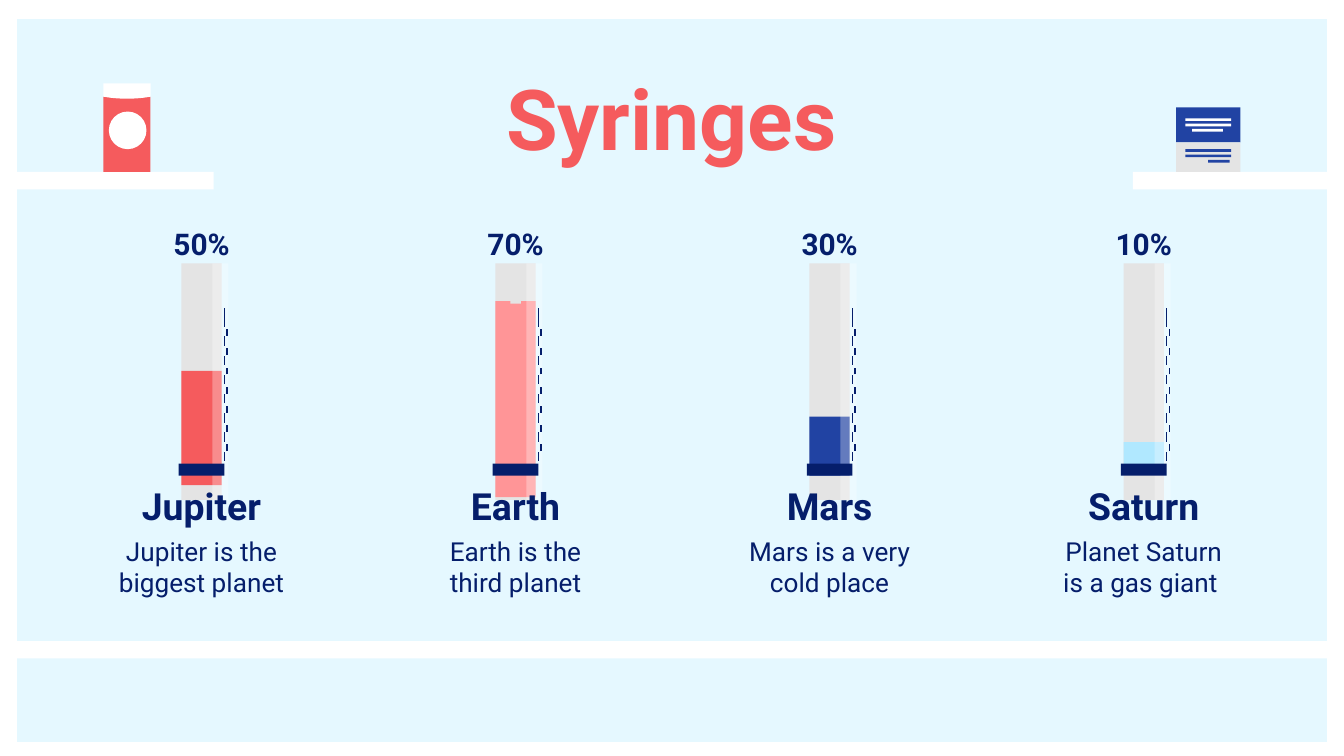
from dataclasses import dataclass
from lxml import etree
from pptx import Presentation
from pptx.dml.color import RGBColor
from pptx.enum.shapes import MSO_CONNECTOR, MSO_SHAPE
from pptx.enum.text import MSO_ANCHOR, MSO_AUTO_SIZE, PP_ALIGN
from pptx.oxml.ns import qn
from pptx.util import Inches, Pt

RECT, OVAL = MSO_SHAPE.RECTANGLE, MSO_SHAPE.OVAL
LINE = MSO_CONNECTOR.STRAIGHT
MID, MIDDLE = PP_ALIGN.CENTER, MSO_ANCHOR.MIDDLE
NO_FIT = MSO_AUTO_SIZE.NONE
WIDE = 10
HIGH = WIDE * 9 / 16


@dataclass(frozen=True)
class Theme:
    font: str = "Roboto"
    sky: str = "E5F8FF"
    white: str = "FFFFFF"
    navy: str = "051E6B"
    blue: str = "2143A3"
    red: str = "F55B5D"
    pink: str = "FF9597"
    pale: str = "B0E8FF"
    grey: str = "E4E4E4"
    title: int = 45
    name: int = 20
    rate: int = 16
    body: int = 14
    tick: float = 0.75
    frame: int = 18


T = Theme()


def rgb(code):
    return RGBColor.from_string(code)


def paint(shape, color):
    shape.shadow.inherit = False
    shape.fill.solid()
    shape.fill.fore_color.rgb = rgb(color)
    shape.line.fill.background()
    return shape


def block(slide, x, y, w, h, color, kind=RECT):
    shape = slide.shapes.add_shape(kind, Inches(x), Inches(y), Inches(w), Inches(h))
    return paint(shape, color)


def fade(shape, part):
    """Make a solid fill partly clear; part is the opacity in percent."""
    color = shape.fill._xPr.find(".//" + qn("a:srgbClr"))
    etree.SubElement(color, qn("a:alpha")).set("val", str(part * 1000))


def tick(slide, x, y, size):
    line = slide.shapes.add_connector(
        LINE, Inches(x), Inches(y + size), Inches(x), Inches(y))
    line.line.color.rgb = rgb(T.navy)
    line.line.width = Pt(T.tick)
    etree.SubElement(line._element.spPr, qn("a:effectLst"))


def style(shape, text, size, color, bold=False):
    frame = shape.text_frame
    frame.word_wrap = True
    frame.auto_size = NO_FIT
    frame.vertical_anchor = MIDDLE
    frame.margin_left = frame.margin_right = Inches(0.1)
    frame.margin_top = frame.margin_bottom = Inches(0.1)
    frame.text = text
    para = frame.paragraphs[0]
    para.alignment = MID
    para.font.name = T.font
    para.font.size = Pt(size)
    para.font.bold = bold
    para.font.color.rgb = rgb(color)
    return para


def label(slide, x, y, w, h, text, size, bold=False):
    box = slide.shapes.add_textbox(Inches(x), Inches(y), Inches(w), Inches(h))
    style(box, text, size, T.navy, bold).space_after = Pt(12)


def room(slide):
    """Background, white frame and shelves."""
    slide.background.fill.solid()
    slide.background.fill.fore_color.rgb = rgb(T.sky)
    frame = block(slide, 0, 0.02, WIDE, HIGH, T.sky)
    frame.fill.background()
    frame.line.color.rgb = rgb(T.white)
    frame.line.width = Pt(T.frame)
    for x, y, w in ((-0.12, 1.28, 1.71), (8.43, 1.28, 1.71), (0.07, 4.77, WIDE)):
        block(slide, x, y, w, 0.13, T.white)


def bottle(slide, x, y):
    w, edge, sag = 0.35, 0.1, 0.015
    block(slide, x, y + edge, w, 0.56, T.red)
    block(slide, x + 0.04, y + 0.21, 0.28, 0.28, T.white, OVAL)
    # Cap with a curved lower edge
    steps = 12
    curve = []
    for i in range(steps + 1):
        t = i / steps
        curve.append((Inches(x + w * t), Inches(y + edge + 4 * sag * t * (1 - t))))
    pen = slide.shapes.build_freeform(Inches(x), Inches(y))
    pen.add_line_segments(curve + [(Inches(x + w), Inches(y))], close=True)
    paint(pen.convert_to_shape(), T.white)


def carton(slide, x, y):
    block(slide, x, y, 0.48, 0.26, T.blue)
    block(slide, x, y + 0.26, 0.48, 0.22, T.grey)
    # Printed lines
    for top, color, last in ((0.08, T.white, (0.12, 0.23)),
                             (0.31, T.blue, (0.24, 0.16))):
        for i, (dx, w) in enumerate(((0.07, 0.34), (0.07, 0.34), last)):
            block(slide, x + dx, y + top + 0.04 * i, w, 0.02, color)


def syringe(slide, x, y, color, fill):
    """Tube centred on x; fill gives the top and height of the liquid."""
    tall = 1.76
    block(slide, x - 0.15, y, 0.3, tall, T.grey)
    top, size = fill
    block(slide, x - 0.15, y + top, 0.3, size, color)
    fade(block(slide, x + 0.08, y, 0.12, tall, T.white), 30)
    # Scale: long and short marks in turn
    step = 1 / 7
    tick(slide, x + 0.17, y + 0.33, 0.07)
    for i in range(8):
        tick(slide, x + 0.17, y + 0.4 + step * i, 0.07)
    for i in range(7):
        tick(slide, x + 0.19, y + 0.49 + step * i, 0.05)
    # Collar and tip
    block(slide, x - 0.17, y + 1.49, 0.34, 0.09, T.navy)
    block(slide, x - 0.04, y + 0.21, 0.08, 0.09, T.grey)


def column(slide, x, y, w, item):
    rate, name, text, color, fill = item
    mid = x + w / 2
    syringe(slide, mid, y + 0.34, color, fill)
    label(slide, x, y + 1.95, w, 0.39, name, T.name, True)
    label(slide, x, y + 2.34, w, 0.51, text, T.body)
    label(slide, mid - 0.32, y, 0.64, 0.39, rate, T.rate, True)


def head(slide, x, y, w, h, text):
    title = slide.shapes.title
    title.left, title.top = Inches(x), Inches(y)
    title.width, title.height = Inches(w), Inches(h)
    style(title, text, T.title, T.red, True).line_spacing = 1.15


ITEMS = (
    ("50%", "Jupiter", "Jupiter is the biggest planet", T.red, (0.8, 0.85)),
    ("70%", "Earth", "Earth is the third planet", T.pink, (0.28, 1.46)),
    ("30%", "Mars", "Mars is a very cold place", T.blue, (1.14, 0.44)),
    ("10%", "Saturn", "Planet Saturn is a gas giant ", T.pale, (1.33, 0.22)),
)


def main():
    deck = Presentation()
    deck.slide_width, deck.slide_height = Inches(WIDE), Inches(HIGH)
    slide = deck.slides.add_slide(deck.slide_layouts[5])
    for spot in list(slide.placeholders):
        if spot.placeholder_format.idx:
            spot.element.getparent().remove(spot.element)
    room(slide)
    bottle(slide, 0.77, 0.62)
    carton(slide, 8.75, 0.8)
    gap = 7.01 / (len(ITEMS) - 1)
    for i, item in enumerate(ITEMS):
        column(slide, 0.78 + gap * i, 1.62, 1.44, item)
    head(slide, 0.77, 0.5, 8.45, 0.63, "Syringes")
    deck.save("out.pptx")


if __name__ == "__main__":
    main()
